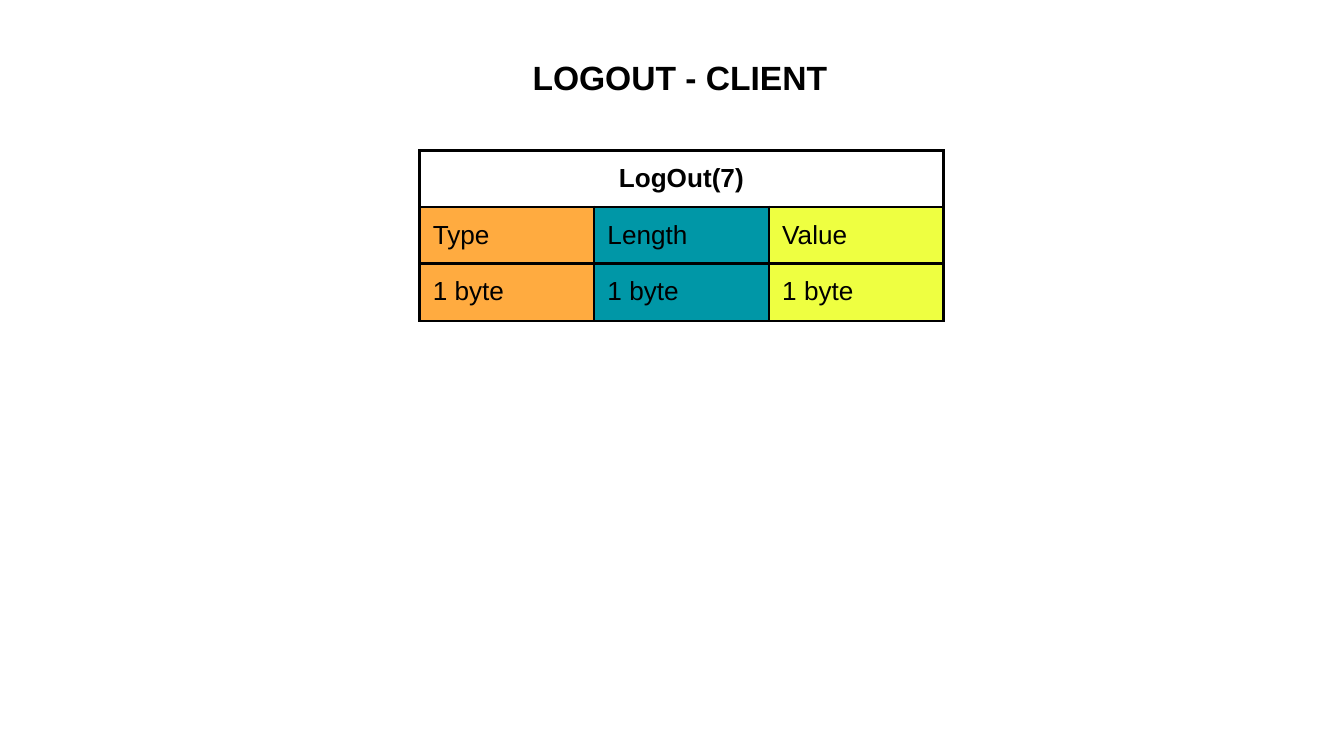
from lxml import etree
from pptx import Presentation
from pptx.dml.color import RGBColor
from pptx.enum.text import MSO_ANCHOR, PP_ALIGN
from pptx.oxml.ns import qn
from pptx.util import Inches, Pt

LEFT, CENTER = PP_ALIGN.LEFT, PP_ALIGN.CENTER
TOP = MSO_ANCHOR.TOP
FONT = "Arial"
COLORS = {
    "black": "000000",
    "type": "FFAB40",
    "length": "0097A7",
    "value": "EEFF41",
}
SLIDE_WIDTH = Inches(10)
SLIDE_HEIGHT = SLIDE_WIDTH * 9 // 16
INSET = Inches(0.1)
BORDER_WIDTH = Pt(1.5)
COLUMN_WIDTH = 1.3
ROW_HEIGHTS = [0.42, 0.42, 0.43]
FIELDS = [
    ("Type", "1 byte", "type"),
    ("Length", "1 byte", "length"),
    ("Value", "1 byte", "value"),
]


def write_text(text_frame, text, size=14, bold=False, align=LEFT, color="black"):
    text_frame.word_wrap = True
    paragraph = text_frame.paragraphs[0]
    paragraph.alignment = align
    run = paragraph.add_run()
    run.text = text
    run.font.name = FONT
    run.font.size = Pt(size)
    run.font.bold = bold
    run.font.color.rgb = RGBColor.from_string(COLORS[color])


def set_margins(target):
    """Give a cell or a text frame the same inset on every side."""
    target.margin_left = target.margin_right = INSET
    target.margin_top = target.margin_bottom = INSET
    target.vertical_anchor = TOP


def set_borders(cell):
    properties = cell._tc.get_or_add_tcPr()
    for position, side in enumerate(("a:lnL", "a:lnR", "a:lnT", "a:lnB")):
        line = etree.Element(qn(side), w=str(BORDER_WIDTH))
        fill = etree.SubElement(line, qn("a:solidFill"))
        etree.SubElement(fill, qn("a:srgbClr"), val=COLORS["black"])
        properties.insert(position, line)


def fill_cell(cell, color):
    cell.fill.solid()
    cell.fill.fore_color.rgb = RGBColor.from_string(COLORS[color])


def add_title(slide, text):
    box = slide.shapes.add_textbox(Inches(3.03), Inches(0.32), Inches(4.06), Inches(0.6))
    set_margins(box.text_frame)
    write_text(box.text_frame, text, size=18, bold=True, align=CENTER)


def add_message_table(slide, heading, fields):
    """Add a heading row above one coloured column per field."""
    frame = slide.shapes.add_table(
        len(ROW_HEIGHTS), len(fields), Inches(3.12), Inches(1.12),
        Inches(COLUMN_WIDTH * len(fields)), Inches(sum(ROW_HEIGHTS)))
    table = frame.table
    table.first_row = False
    table.horz_banding = False
    for column in table.columns:
        column.width = Inches(COLUMN_WIDTH)
    for row, height in zip(table.rows, ROW_HEIGHTS):
        row.height = Inches(height)
    for cell in table.iter_cells():
        set_margins(cell)
        cell.fill.background()
        set_borders(cell)

    heading_cell = table.cell(0, 0)
    heading_cell.merge(table.cell(0, len(fields) - 1))
    write_text(heading_cell.text_frame, heading, bold=True, align=CENTER)

    for column, (name, size, color) in enumerate(fields):
        for row, text in enumerate((name, size), start=1):
            cell = table.cell(row, column)
            fill_cell(cell, color)
            write_text(cell.text_frame, text)


def main():
    presentation = Presentation()
    presentation.slide_width = SLIDE_WIDTH
    presentation.slide_height = SLIDE_HEIGHT
    slide = presentation.slides.add_slide(presentation.slide_layouts[6])
    add_message_table(slide, "LogOut(7)", FIELDS)
    add_title(slide, "LOGOUT - CLIENT")
    presentation.save("out.pptx")


if __name__ == "__main__":
    main()
